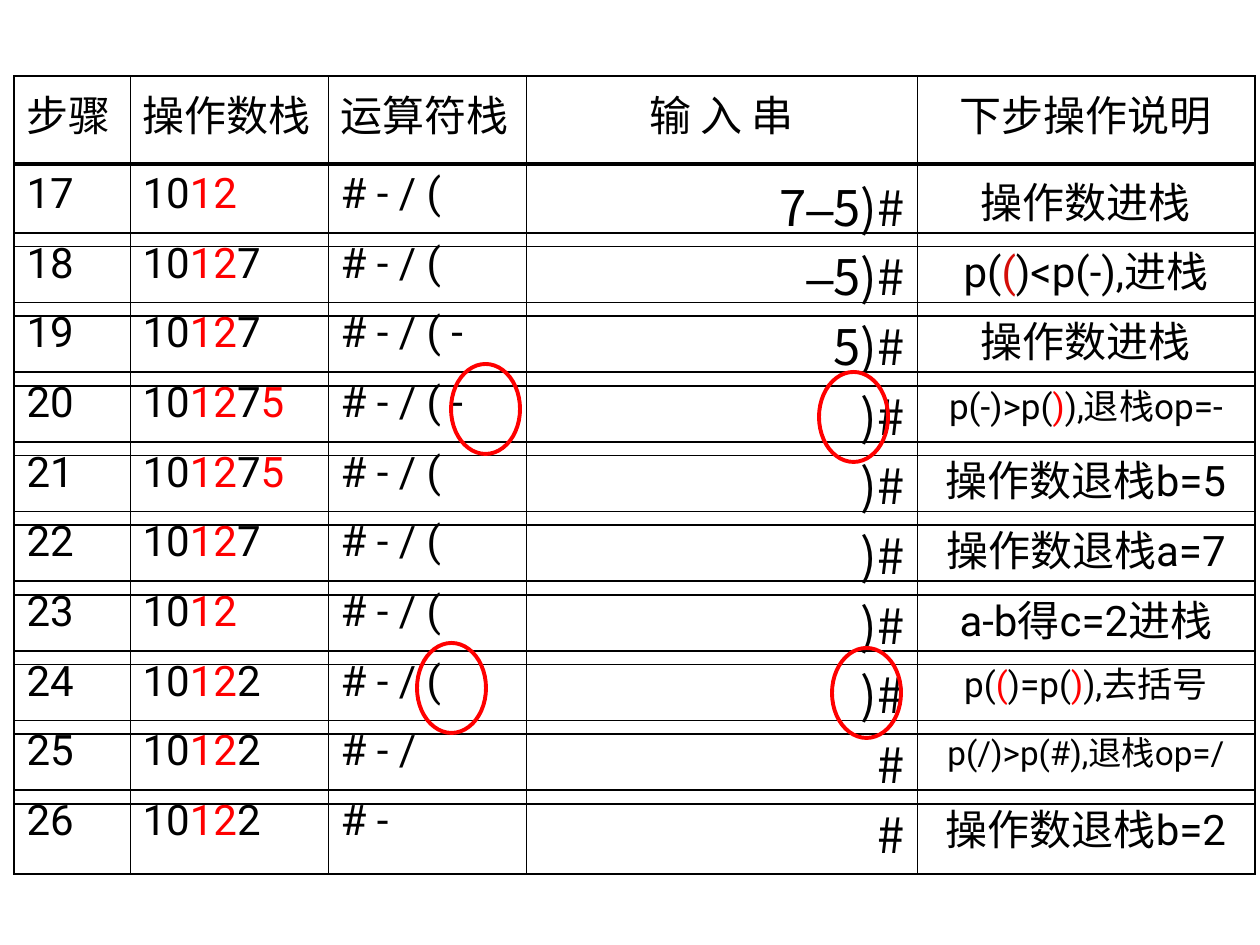
from dataclasses import dataclass

import pptx
import pptx.dml.color
import pptx.enum.shapes
import pptx.enum.text
import pptx.oxml
import pptx.oxml.ns
import pptx.util

SCALE = 914400 / 126
ALIGN = pptx.enum.text.PP_ALIGN
NO_STYLE = "{2D5ABB26-0587-4C30-8999-92F81FD0307C}"


@dataclass(frozen=True)
class Theme:
    ink: str = "000000"
    red: str = "FF0000"
    dark: str = "D40D08"
    font: str = "Roboto"
    han: str = "Noto Sans CJK SC"
    dash: str = "Arial"
    text: int = 24
    large: int = 28
    small: int = 20
    tiny: int = 19
    thin: float = 0.45
    edge: float = 1.08
    ring: float = 2.25


THEME = Theme()


@dataclass(frozen=True)
class Step:
    """One row; text between asterisks is shown in the mark colour."""
    nums: str
    ops: str
    rest: str
    note: str
    size: int = THEME.text
    mark: str = THEME.red


@dataclass(frozen=True)
class Ring:
    left: int
    top: int


LEFT, WIDTHS = 14, (116, 198, 198, 391, 338)
HEAD_TOP, HEAD_HIGH = 76, 89
FIRST, PITCH, HIGH = 163, 69.7, 72
RING_WIDE, RING_HIGH = 69, 90
HEADS = ("步骤", "操作数栈", "运算符栈", "输 入 串", "下步操作说明")
STEPS = (
    Step("10*12*", "# - / (", "7–5)#", "操作数进栈"),
    Step("10*12*7", "# - / (", "–5)#", "p(*(*)<p(-),进栈", mark=THEME.dark),
    Step("10*12*7", "# - / ( -", "5)#", "操作数进栈"),
    Step("10*12*7*5*", "# - / ( -", ")#", "p(-)>p(*)*),退栈op=-", THEME.small),
    Step("10*12*7*5*", "# - / (", ")#", "操作数退栈b=5"),
    Step("10*12*7", "# - / (", ")#", "操作数退栈a=7"),
    Step("10*12*", "# - / (", ")#", "a-b得c=2进栈"),
    Step("10*12*2", "# - / (", ")#", "p(*(*)=p(*)*),去括号", THEME.small),
    Step("10*12*2", "# - /", "#", "p(/)>p(#),退栈op=/", THEME.tiny),
    Step("10*12*2", "# -", "#", "操作数退栈b=2"),
)
RINGS = (Ring(819, 372), Ring(451, 364), Ring(417, 643), Ring(832, 648))


def px(size: float) -> int:
    return round(size * SCALE)


def rgb(tint: str) -> pptx.dml.color.RGBColor:
    return pptx.dml.color.RGBColor.from_string(tint)


def add_run(para, text: str, size: int, font: str, tint: str) -> None:
    run = para.add_run()
    run.text = text
    run.font.size = pptx.util.Pt(size)
    run.font.name = font
    run.font.color.rgb = rgb(tint)
    east = pptx.oxml.parse_xml(
        f'<a:ea {pptx.oxml.ns.nsdecls("a")} typeface="{THEME.han}"/>')
    run.font._element.find(pptx.oxml.ns.qn("a:latin")).addnext(east)


def write(cell, text: str, align, size: int = THEME.text,
          mark: str = THEME.red) -> None:
    para = cell.text_frame.paragraphs[0]
    para.alignment = align
    for i, part in enumerate(text.split("*")):
        if part:
            add_run(para, part, size, THEME.font, mark if i % 2 else THEME.ink)


def write_rest(cell, text: str) -> None:
    """Right-aligned input text whose dash has a font of its own."""
    para = cell.text_frame.paragraphs[0]
    para.alignment = ALIGN.RIGHT
    for part in text.partition("–"):
        if part:
            font = THEME.dash if part == "–" else THEME.han
            add_run(para, part, THEME.large, font, THEME.ink)


def set_lines(cell, first: bool, last: bool) -> None:
    cell.fill.background()
    sides = (("lnL", THEME.edge if first else THEME.thin),
             ("lnR", THEME.edge if last else THEME.thin),
             ("lnT", THEME.edge), ("lnB", THEME.edge))
    props = cell._tc.get_or_add_tcPr()
    for i, (side, wide) in enumerate(sides):
        props.insert(i, pptx.oxml.parse_xml(
            f'<a:{side} {pptx.oxml.ns.nsdecls("a")} w="{pptx.util.Pt(wide)}">'
            f'<a:solidFill><a:srgbClr val="{THEME.ink}"/></a:solidFill>'
            f'</a:{side}>'))


def add_row(slide, top: float, high: int) -> list:
    """Add a one-row table and return its cells."""
    frame = slide.shapes.add_table(1, len(WIDTHS), px(LEFT), px(top),
                                   px(sum(WIDTHS)), px(high))
    table = frame.table
    table.first_row = table.horz_banding = False
    table._tbl.tblPr[0].text = NO_STYLE
    for col, wide in zip(table.columns, WIDTHS):
        col.width = px(wide)
    cells = list(table.rows[0].cells)
    for i, cell in enumerate(cells):
        set_lines(cell, i == 0, i == len(cells) - 1)
    return cells


def add_head(slide) -> None:
    for i, cell in enumerate(add_row(slide, HEAD_TOP, HEAD_HIGH)):
        write(cell, HEADS[i], ALIGN.LEFT if i < 3 else ALIGN.CENTER)


def add_step(slide, i: int, step: Step) -> None:
    num, nums, ops, rest, note = add_row(slide, FIRST + i * PITCH, HIGH)
    write(num, str(17 + i), ALIGN.LEFT)
    write(nums, step.nums, ALIGN.LEFT)
    write(ops, step.ops, ALIGN.LEFT)
    write_rest(rest, step.rest)
    write(note, step.note, ALIGN.CENTER, step.size, step.mark)


def add_ring(slide, ring: Ring) -> None:
    shape = slide.shapes.add_shape(
        pptx.enum.shapes.MSO_SHAPE.OVAL, px(ring.left), px(ring.top),
        px(RING_WIDE), px(RING_HIGH))
    shape.shadow.inherit = False
    shape.fill.background()
    shape.line.color.rgb = rgb(THEME.red)
    shape.line.width = pptx.util.Pt(THEME.ring)


def main() -> None:
    deck = pptx.Presentation()
    deck.slide_width, deck.slide_height = px(1260), px(945)
    slide = deck.slides.add_slide(deck.slide_layouts[6])
    add_head(slide)
    for i, step in enumerate(STEPS):
        add_step(slide, i, step)
    for ring in RINGS:
        add_ring(slide, ring)
    deck.save("out.pptx")


if __name__ == "__main__":
    main()
